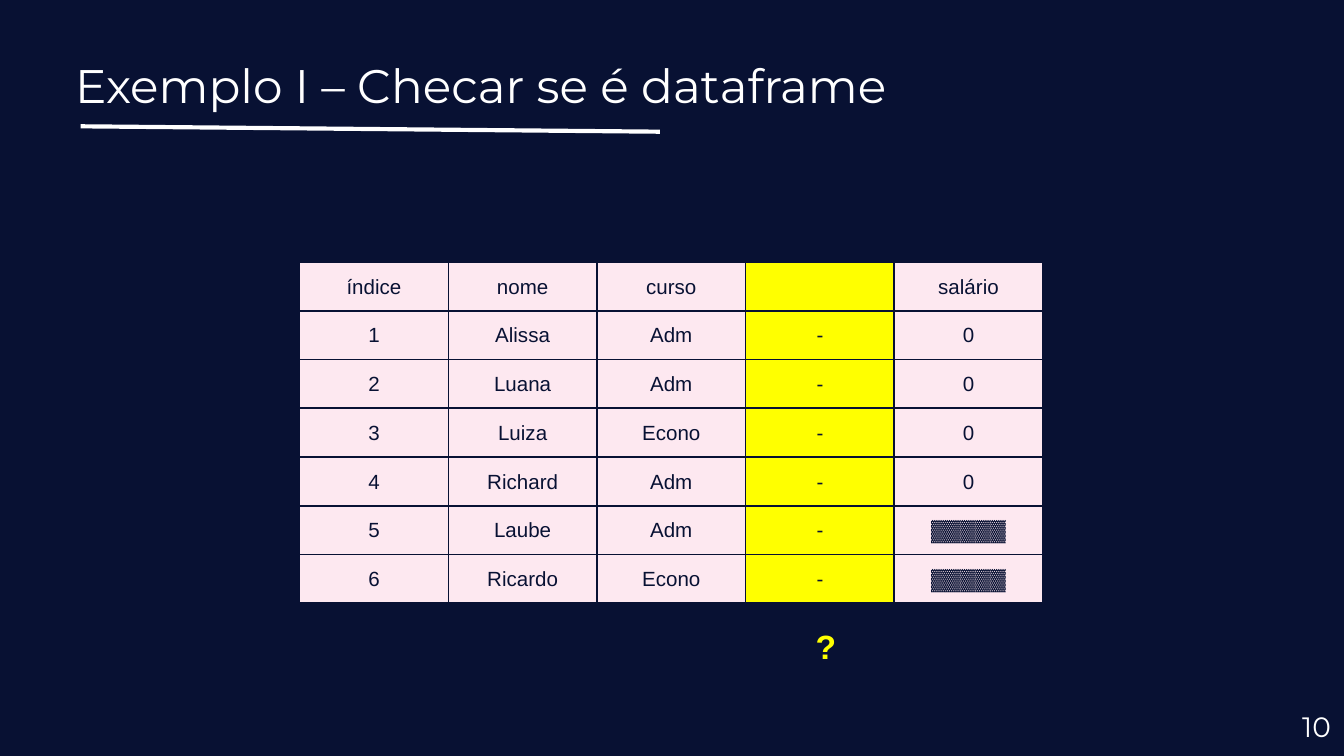
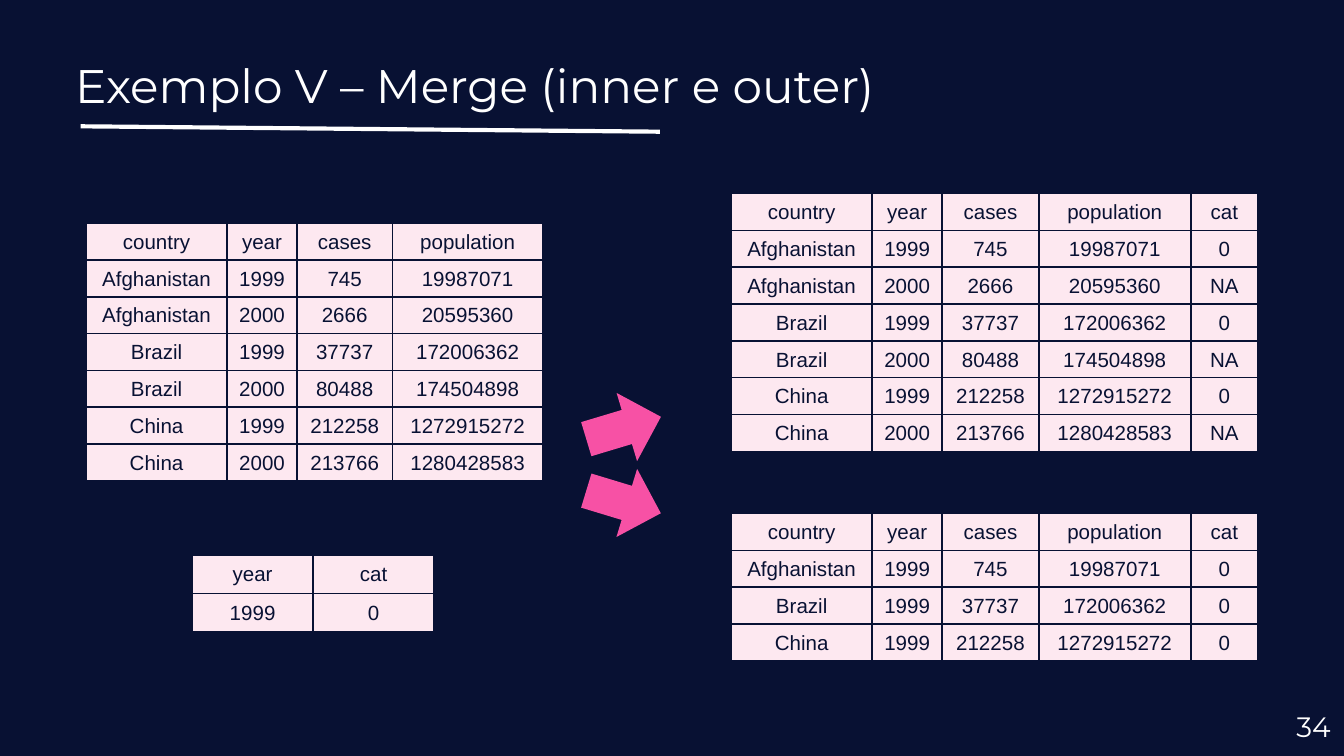
from dataclasses import dataclass

from lxml import etree
from pptx import Presentation
from pptx.dml.color import RGBColor
from pptx.enum.shapes import MSO_CONNECTOR, MSO_SHAPE
from pptx.enum.text import MSO_ANCHOR, MSO_AUTO_SIZE, PP_ALIGN
from pptx.oxml.ns import qn
from pptx.util import Inches, Pt

STRAIGHT = MSO_CONNECTOR.STRAIGHT
RIGHT_ARROW = MSO_SHAPE.RIGHT_ARROW
TOP, MIDDLE = MSO_ANCHOR.TOP, MSO_ANCHOR.MIDDLE
NO_AUTOFIT = MSO_AUTO_SIZE.NONE
LEFT, CENTER, RIGHT = PP_ALIGN.LEFT, PP_ALIGN.CENTER, PP_ALIGN.RIGHT
TITLE_ONLY = 5
PAGE_WIDTH = 10
PAGE_HEIGHT = PAGE_WIDTH * 9 / 16


@dataclass(frozen=True)
class Theme:
    navy: str = "081133"
    white: str = "FFFFFF"
    blush: str = "FDE8F0"
    yellow: str = "FFFF00"
    pink: str = "F751A5"
    heading_font: str = "Montserrat"
    body_font: str = "Arial"
    title_size: float = 25.2
    number_size: float = 15
    cell_size: float = 11
    mark_size: float = 18
    rule_width: float = 2.25
    border_width: float = 1


THEME = Theme()

STUDENTS = [
    ["índice", "nome", "curso", "", "salário"],
    ["1", "Alissa", "Adm", "-", "0"],
    ["2", "Luana", "Adm", "-", "0"],
    ["3", "Luiza", "Econo", "-", "0"],
    ["4", "Richard", "Adm", "-", "0"],
    ["5", "Laube", "Adm", "-", "▓▓▓▓▓"],
    ["6", "Ricardo", "Econo", "-", "▓▓▓▓▓"],
]
MISSING_COLUMN = 3

CATEGORIES = [["year", "cat"], ["1999", "0"]]
OUTER_MERGE = [
    ["country", "year", "cases", "population", "cat"],
    ["Afghanistan", "1999", "745", "19987071", "0"],
    ["Afghanistan", "2000", "2666", "20595360", "NA"],
    ["Brazil", "1999", "37737", "172006362", "0"],
    ["Brazil", "2000", "80488", "174504898", "NA"],
    ["China", "1999", "212258", "1272915272", "0"],
    ["China", "2000", "213766", "1280428583", "NA"],
]
COUNTRIES = [row[:-1] for row in OUTER_MERGE]
INNER_MERGE = [row for row in OUTER_MERGE if row[-1] != "NA"]
COUNTRY_WIDTHS = [1.05, 0.52, 0.71, 1.12]
MERGE_WIDTHS = [1.05, 0.52, 0.72, 1.13, 0.5]


def inches(*lengths):
    return [Inches(length) for length in lengths]


def color(value):
    return RGBColor.from_string(value)


def set_margins(holder, left, top, right, bottom):
    holder.margin_left, holder.margin_top = Inches(left), Inches(top)
    holder.margin_right, holder.margin_bottom = Inches(right), Inches(bottom)


def write(frame, text, font, size, ink, align, bold=False):
    para = frame.paragraphs[0]
    para.text = text
    para.alignment = align
    para.font.name = font
    para.font.size = Pt(size)
    para.font.bold = bold
    para.font.color.rgb = color(ink)


def add_title(page, text):
    title = page.shapes.title
    title.left, title.top, title.width, title.height = inches(0.46, 0.32, 9.32, 0.63)
    frame = title.text_frame
    frame.auto_size = NO_AUTOFIT
    frame.vertical_anchor = TOP
    set_margins(frame, 0.1, 0.1, 0.1, 0.1)
    write(frame, text, THEME.heading_font, THEME.title_size, THEME.white, LEFT)


def add_title_rule(page):
    rule = page.shapes.add_connector(STRAIGHT, *inches(0.6, 0.94, 4.91, 0.98))
    rule.line.color.rgb = color(THEME.white)
    rule.line.width = Pt(THEME.rule_width)
    etree.SubElement(rule.element.spPr, qn("a:effectLst"))


def add_page_number(page, number):
    box = page.shapes.add_textbox(*inches(9.4, 5.19, 0.6, 0.43))
    frame = box.text_frame
    frame.word_wrap = True
    frame.vertical_anchor = MIDDLE
    set_margins(frame, 0.1, 0.1, 0.1, 0.1)
    write(frame, str(number), THEME.heading_font, THEME.number_size, THEME.white, RIGHT)


def add_page(deck, title, number):
    page = deck.slides.add_slide(deck.slide_layouts[TITLE_ONLY])
    add_title_rule(page)
    add_title(page, title)
    add_page_number(page, number)
    return page


def add_borders(cell):
    properties = cell._tc.get_or_add_tcPr()
    for side in ("a:lnL", "a:lnR", "a:lnT", "a:lnB"):
        border = etree.SubElement(properties, qn(side), w=str(Pt(THEME.border_width)))
        fill = etree.SubElement(border, qn("a:solidFill"))
        etree.SubElement(fill, qn("a:srgbClr"), val=THEME.navy)


def format_cell(cell, text, fill):
    add_borders(cell)
    cell.fill.solid()
    cell.fill.fore_color.rgb = color(fill)
    cell.vertical_anchor = MIDDLE
    set_margins(cell, 0.01, 0.01, 0.01, 0)
    write(cell.text_frame, text, THEME.body_font, THEME.cell_size, THEME.navy, CENTER)


def add_data_table(page, rows, left, top, height, widths, highlight=None):
    area = inches(left, top, sum(widths), height)
    table = page.shapes.add_table(len(rows), len(widths), *area).table
    table.first_row = False
    table.horz_banding = False
    for column, width in zip(table.columns, widths):
        column.width = Inches(width)
    for row_index, row in enumerate(rows):
        table.rows[row_index].height = Inches(height / len(rows))
        for column_index, text in enumerate(row):
            fill = THEME.yellow if column_index == highlight else THEME.blush
            format_cell(table.cell(row_index, column_index), text, fill)


def add_question_mark(page):
    frame = page.shapes.add_textbox(*inches(5.97, 4.61, 0.36, 0.4)).text_frame
    frame.word_wrap = True
    set_margins(frame, 0.1, 0.05, 0.1, 0.05)
    write(frame, "?", THEME.body_font, THEME.mark_size, THEME.yellow, LEFT, bold=True)


def add_arrow(page, top, rotation):
    arrow = page.shapes.add_shape(RIGHT_ARROW, *inches(4.35, top, 0.58, 0.53))
    arrow.rotation = rotation
    arrow.shadow.inherit = False
    arrow.fill.solid()
    arrow.fill.fore_color.rgb = color(THEME.pink)
    arrow.line.fill.background()


def build_dataframe_page(deck):
    page = add_page(deck, "Exemplo I – Checar se é dataframe", 10)
    widths = [5.53 / len(STUDENTS[0])] * len(STUDENTS[0])
    add_data_table(page, STUDENTS, 2.23, 1.95, 2.54, widths, MISSING_COLUMN)
    add_question_mark(page)


def build_merge_page(deck):
    page = add_page(deck, "Exemplo V – Merge (inner e outer)", 34)
    add_data_table(page, COUNTRIES, 0.64, 1.66, 1.92, COUNTRY_WIDTHS)
    add_data_table(page, CATEGORIES, 1.43, 4.13, 0.57, [0.9, 0.9])
    add_data_table(page, OUTER_MERGE, 5.44, 1.44, 1.92, MERGE_WIDTHS)
    add_arrow(page, 2.92, 343.3)
    add_data_table(page, INNER_MERGE, 5.44, 3.82, 1.1, MERGE_WIDTHS)
    add_arrow(page, 3.47, 16.9)


def main():
    deck = Presentation()
    deck.slide_width, deck.slide_height = inches(PAGE_WIDTH, PAGE_HEIGHT)
    background = deck.slide_master.background.fill
    background.solid()
    background.fore_color.rgb = color(THEME.navy)
    build_dataframe_page(deck)
    build_merge_page(deck)
    deck.save("out.pptx")


if __name__ == "__main__":
    main()
